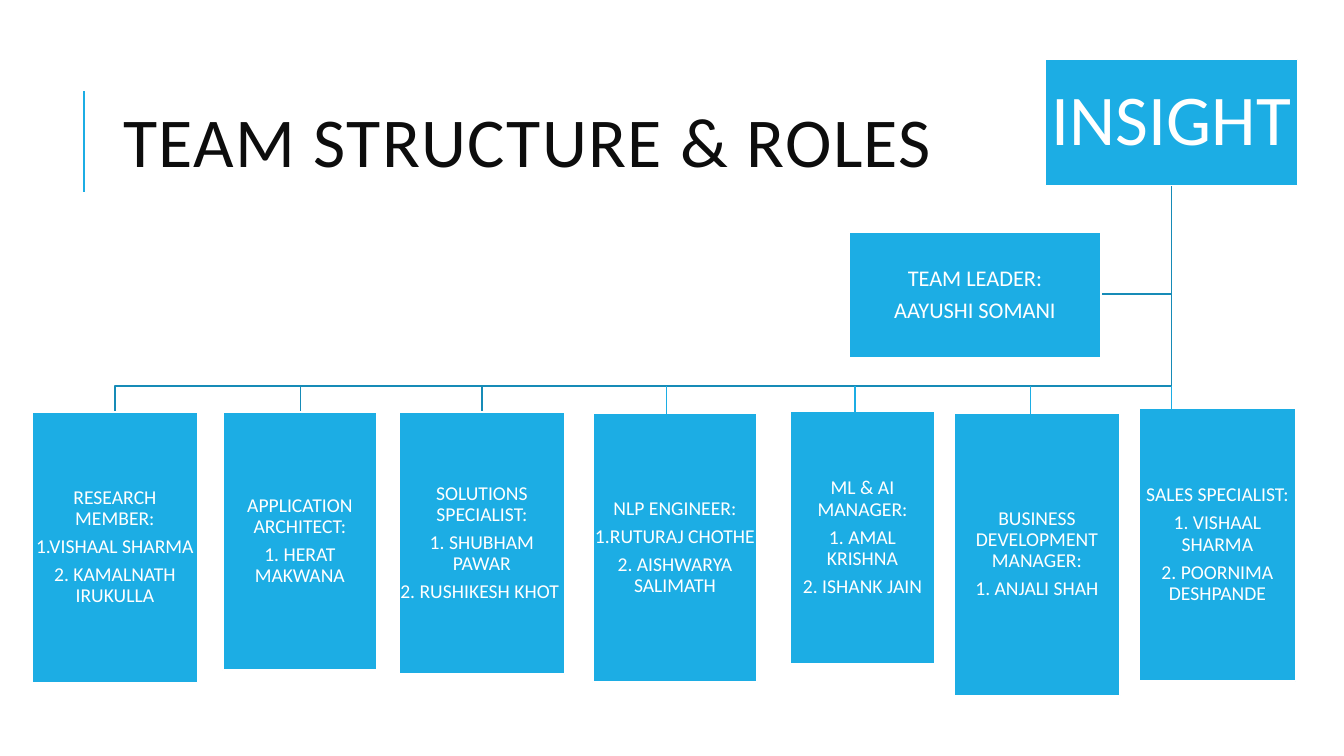
"""Build the team structure and roles organisation chart."""
from dataclasses import dataclass

from lxml import etree
from pptx import Presentation
from pptx import util as u
from pptx.dml.color import RGBColor
from pptx.enum import shapes, text
from pptx.oxml.ns import qn


@dataclass(frozen=True)
class Theme:
    font: str = "Calibri"
    accent: RGBColor = RGBColor.from_string("1CADE4")
    branch: RGBColor = RGBColor.from_string("168BB7")
    white: RGBColor = RGBColor.from_string("FFFFFF")
    ink: RGBColor = RGBColor.from_string("0D0D0D")
    title: int = 50
    team: int = 51
    leader: int = 16
    role: int = 14


theme = Theme()


def write(frame, lines, size, color=theme.white, align=text.PP_ALIGN.CENTER,
          spacing=0.9, after=0.35, inset=0.01, tracking=0):
    frame.word_wrap = True
    frame.auto_size = text.MSO_AUTO_SIZE.NONE
    frame.vertical_anchor = text.MSO_ANCHOR.MIDDLE
    if inset is not None:
        frame.margin_left = frame.margin_right = u.Inches(inset)
        frame.margin_top = frame.margin_bottom = u.Inches(inset)
    for index, line in enumerate(lines):
        paragraph = frame.add_paragraph() if index else frame.paragraphs[0]
        paragraph.alignment = align
        paragraph.line_spacing = spacing
        paragraph.space_after = u.Pt(size * after)
        run = paragraph.add_run()
        run.text = line
        run.font.name = theme.font
        run.font.size = u.Pt(size)
        run.font.color.rgb = color
        if tracking:
            run.font._element.set("spc", str(tracking * 100))


def draw_line(start, end, width):
    line = slide.shapes.add_connector(
        shapes.MSO_CONNECTOR.STRAIGHT, *(u.Inches(n) for n in (*start, *end)))
    line.line.color.rgb = theme.accent
    line.line.width = u.Pt(width)
    etree.SubElement(line._element.spPr, qn("a:effectLst"))


deck = Presentation()
deck.slide_width, deck.slide_height = u.Inches(13.33), u.Inches(7.5)
slide = deck.slides.add_slide(deck.slide_layouts[5])

draw_line((0.83, 1.9), (0.83, 0.9), 1.5)
heading = slide.shapes.title
heading.left, heading.top = u.Inches(1.12), u.Inches(0.64)
heading.width, heading.height = u.Inches(10.63), u.Inches(1.64)
write(heading.text_frame, ["TEAM STRUCTURE & ROLES"], theme.title, theme.ink,
      text.PP_ALIGN.LEFT, spacing=0.8, after=0, inset=None, tracking=1)

trunk_x, trunk_top, bus_y, roles_top, leader_y = 11.62, 1.84, 3.83, 4.09, 2.92
branches = [[(trunk_x, leader_y), (10.92, leader_y)]]
for role_x in (4.78, 2.98, 1.14):
    branches.append([(trunk_x, bus_y), (role_x, bus_y), (role_x, roles_top)])
for points in branches:
    corners = [(u.Inches(x), u.Inches(y)) for x, y in points]
    builder = slide.shapes.build_freeform(u.Inches(trunk_x), u.Inches(trunk_top))
    builder.add_line_segments(corners, close=False)
    branch = builder.convert_to_shape()
    branch.shadow.inherit = False
    branch.fill.background()
    branch.line.color.rgb = theme.branch
    branch.line.width = u.Pt(1.25)

boxes = [
    ((10.37, 0.59, 2.5, 1.25), theme.team, 0.04, ["INSIGHT"]),
    ((8.42, 2.3, 2.5, 1.25), theme.leader, 0.01,
     ["TEAM LEADER:", "AAYUSHI SOMANI"]),
]
roles = [
    ((0.32, 4.09, 1.64, 2.68),
     ["RESEARCH MEMBER:", "1.VISHAAL SHARMA", "2. KAMALNATH IRUKULLA"]),
    ((2.21, 4.09, 1.53, 2.56), ["APPLICATION ARCHITECT:", "1. HERAT MAKWANA"]),
    ((3.96, 4.09, 1.64, 2.6),
     ["SOLUTIONS SPECIALIST:", "1. SHUBHAM PAWAR", "2. RUSHIKESH KHOT "]),
    ((5.88, 4.1, 1.63, 2.67),
     ["NLP ENGINEER:", "1.RUTURAJ CHOTHE", "2. AISHWARYA SALIMATH"]),
    ((7.84, 4.08, 1.43, 2.51),
     ["ML & AI MANAGER:", "1. AMAL KRISHNA", "2. ISHANK JAIN"]),
    ((9.46, 4.1, 1.65, 2.8),
     ["BUSINESS DEVELOPMENT MANAGER:", "1. ANJALI SHAH"]),
    ((11.3, 4.05, 1.55, 2.71),
     ["SALES SPECIALIST:", "1. VISHAAL SHARMA", "2. POORNIMA DESHPANDE"]),
]
boxes += [(place, theme.role, 0.01, lines) for place, lines in roles]
for place, size, inset, lines in boxes:
    member = slide.shapes.add_shape(
        shapes.MSO_SHAPE.RECTANGLE, *(u.Inches(n) for n in place))
    member.shadow.inherit = False
    member.fill.solid()
    member.fill.fore_color.rgb = theme.accent
    member.line.color.rgb = theme.white
    member.line.width = u.Pt(1.25)
    write(member.text_frame, lines, size, inset=inset)

for role_x in (6.61, 8.48, 10.22, trunk_x):
    draw_line((role_x, bus_y), (role_x, 4.11), 0.75)

deck.save("out.pptx")
